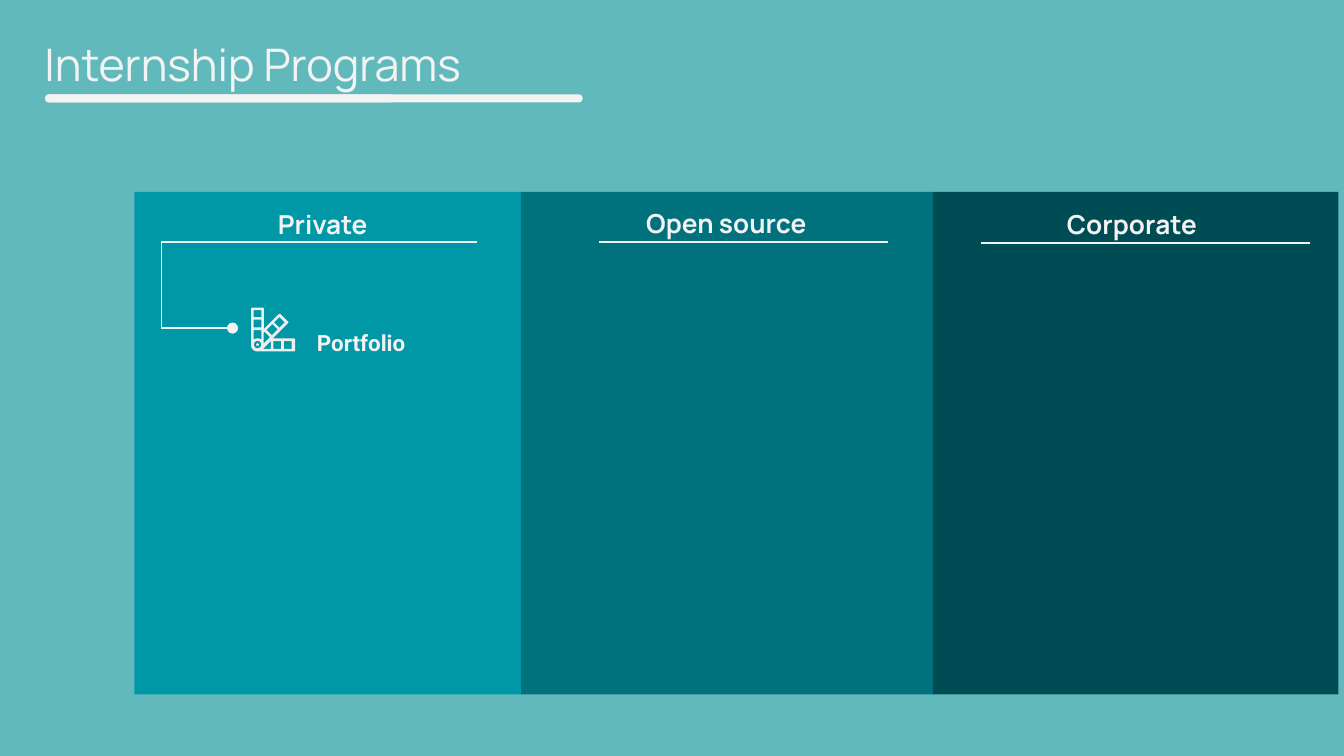
from math import cos, pi, sin

from lxml.etree import SubElement
from pptx import Presentation
from pptx.dml.color import RGBColor
from pptx.enum.shapes import MSO_CONNECTOR, MSO_SHAPE
from pptx.enum.text import MSO_ANCHOR, PP_ALIGN
from pptx.oxml.ns import qn
from pptx.util import Pt

COLORS = {
    "background": "62B9BB",
    "light": "F3F3F3",
    "icon": "EEEEEE",
    "private": "0097A7",
    "open": "00717D",
    "corporate": "004C54",
}
COLUMN_TOP, COLUMN_HEIGHT = 102.8, 269.2
COLUMNS = [
    ("Private", "private", 72, 207.2, (141.8, 104.4, 71.3), (86.4, 255.6, 129.6)),
    ("Open source", "open", 279.2, 220.6, (339.1, 103.7, 112.3), (321.1, 475.9, 129.6)),
    ("Corporate", "corporate", 499.8, 217.2, (564.5, 104.4, 95), (525.6, 702, 130.3)),
]


def rgb(name):
    return RGBColor.from_string(COLORS[name])


def write_text(sp, text, size=14, font="Manrope", bold=False, anchor=MSO_ANCHOR.TOP):
    tf = sp.text_frame
    tf.word_wrap = True
    tf.vertical_anchor = anchor
    tf.margin_left = tf.margin_right = tf.margin_top = tf.margin_bottom = Pt(7.2)
    p = tf.paragraphs[0]
    p.alignment = PP_ALIGN.LEFT
    r = p.add_run()
    r.text = text
    r.font.size = Pt(size)
    r.font.name = font
    r.font.bold = bold
    r.font.color.rgb = rgb("light")


def add_label(s, text, x, y, w, h, **style):
    write_text(s.shapes.add_textbox(Pt(x), Pt(y), Pt(w), Pt(h)), text, **style)


def add_title(s, text):
    title = s.shapes.title
    title.left, title.top, title.width, title.height = Pt(16.6), Pt(2.2), Pt(308.9), Pt(64)
    write_text(title, text, size=24, anchor=MSO_ANCHOR.MIDDLE)


def add_panel(s, x, y, w, h, color):
    sp = s.shapes.add_shape(MSO_SHAPE.RECTANGLE, Pt(x), Pt(y), Pt(w), Pt(h))
    sp.shadow.inherit = False
    sp.fill.solid()
    sp.fill.fore_color.rgb = rgb(color)
    sp.line.fill.background()


def add_bar(s, x, y, w, h, filled):
    sp = s.shapes.add_shape(MSO_SHAPE.ROUNDED_RECTANGLE, Pt(x), Pt(y), Pt(w), Pt(h))
    sp.adjustments[0] = 0.5
    sp.shadow.inherit = False
    if filled:
        sp.fill.solid()
        sp.fill.fore_color.rgb = rgb("light")
    else:
        sp.fill.background()
    sp.line.color.rgb = rgb("light")
    sp.line.width = Pt(0.75)


def add_rule(s, x1, y1, x2, y2, dot=False):
    line = s.shapes.add_connector(MSO_CONNECTOR.STRAIGHT, Pt(x1), Pt(y1), Pt(x2), Pt(y2))
    line.line.color.rgb = rgb("light")
    line.line.width = Pt(0.75)
    if dot:
        SubElement(line.line._get_or_add_ln(), qn("a:tailEnd"), type="oval", w="med", len="med")
    SubElement(line._element.spPr, qn("a:effectLst"))


def box(x1, y1, x2, y2):
    return [(x1, y1), (x2, y1), (x2, y2), (x1, y2)]


def arc(cx, cy, radius, start, end, steps=16):
    angles = [start + (end - start) * i / steps for i in range(steps + 1)]
    return [(cx + radius * cos(a), cy + radius * sin(a)) for a in angles]


def add_swatch_icon(s, x, y):
    outline = [(0, 0.5), (0.5, 0), (6.4, 0), (6.9, 0.5), (6.9, 11.5), (15, 3.4), (15.7, 3.4),
               (20, 7.6), (20, 8.2), (11.7, 16.5), (23.2, 16.5), (23.7, 17), (23.7, 23),
               (23.2, 23.5)] + arc(3.5, 20, 3.5, pi / 2, pi)
    contours = [
        outline,
        box(1.4, 1.4, 5.5, 5.1),
        box(1.4, 6.5, 5.5, 10.6),
        [(1.4, 12), (5.5, 12), (5.5, 16.9), (3.5, 16.4), (1.4, 16.9)],
        [(15.2, 5), (18.1, 7.9), (15.2, 10.8), (12.3, 7.9)],
        [(11.4, 8.8), (14.3, 11.7), (11.2, 14.8), (8.3, 11.9)],
        [(7.3, 12.9), (10.2, 15.8), (6.8, 19.2), (6.8, 13.4)],
        [(10.6, 18), (10.6, 22.1), (6.5, 22.1)],
        box(12, 18, 16.2, 22.1),
        box(17.6, 18, 21.7, 22.1),
        arc(3.5, 19.8, 2, 0, 2 * pi),
        arc(3.5, 19.8, 0.7, 0, 2 * pi),
    ]
    paths = [[(Pt(x + px), Pt(y + py)) for px, py in contour] for contour in contours]
    builder = s.shapes.build_freeform(*paths[0][0])
    builder.add_line_segments(paths[0][1:], close=True)
    for path in paths[1:]:
        builder.move_to(*path[0])
        builder.add_line_segments(path[1:], close=True)
    icon = builder.convert_to_shape()
    icon.shadow.inherit = False
    icon.fill.solid()
    icon.fill.fore_color.rgb = rgb("icon")
    icon.line.fill.background()


def add_column(s, name, color, left, width, label, rule):
    add_panel(s, left, COLUMN_TOP, width, COLUMN_HEIGHT, color)
    x, y, w = label
    add_label(s, name, x, y, w, 27.4, bold=True)
    start, end, level = rule
    add_rule(s, end, level, start, level)


def main():
    prs = Presentation()
    prs.slide_width, prs.slide_height = Pt(720), Pt(405)
    s = prs.slides.add_slide(prs.slide_layouts[0])
    subtitle = s.placeholders[1]._element
    subtitle.getparent().remove(subtitle)
    s.background.fill.solid()
    s.background.fill.fore_color.rgb = rgb("background")

    add_title(s, "Internship Programs")
    for width, filled in ((186.5, False), (287.3, True)):
        add_bar(s, 24.5, 50.9, width, 3.6, filled)
    for column in COLUMNS:
        add_column(s, *column)

    add_rule(s, 86.4, 129.6, 86.4, 175.8)
    add_label(s, "Portfolio", 162.7, 169.2, 128.2, 71.3, size=12, font="Roboto", bold=True)
    add_swatch_icon(s, 134.5, 164.8)
    add_rule(s, 86.4, 175.8, 124.6, 175.8, dot=True)
    prs.save("out.pptx")


if __name__ == "__main__":
    main()
